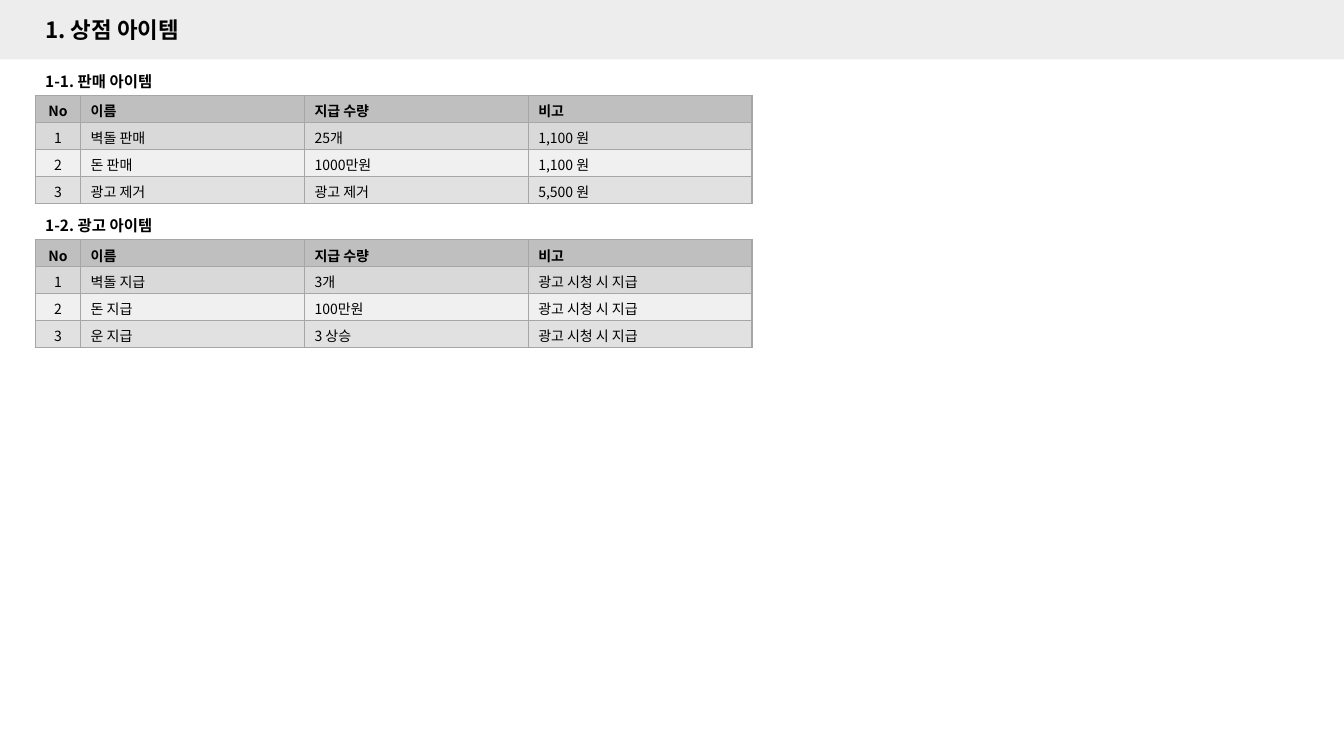
"""Build the shop items slide with its two item tables."""
from dataclasses import dataclass

from lxml.etree import SubElement
from pptx import Presentation
from pptx.dml.color import RGBColor
from pptx.enum.shapes import MSO_SHAPE as Shape
from pptx.enum.text import MSO_ANCHOR as Anchor, MSO_AUTO_SIZE as AutoSize, PP_ALIGN as Align
from pptx.oxml.ns import qn
from pptx.util import Inches, Pt


@dataclass(frozen=True)
class Theme:
    font: str = "Noto Sans CJK KR"
    ink: str = "000000"
    band: str = "EDEDED"
    border: str = "A6A6A6"
    rows: tuple = ("BFBFBF", "D9D9D9", "F0F0F0", "E1E1E1")
    title_size: int = 16
    heading_size: int = 11
    cell_size: int = 10


THEME = Theme()
LEFT = 0.35
ROW_HEIGHT = 1.07 / 4
COLUMN_WIDTHS = (0.45, 2.22, 2.22, 2.22)
HEADER = ("No", "이름", "지급 수량", "비고")
SECTIONS = (
    (0.66, "1-1. 판매 아이템", (
        ("벽돌 판매", "25개", "1,100 원"),
        ("돈 판매", "1000만원", "1,100 원"),
        ("광고 제거", "광고 제거", "5,500 원"),
    )),
    (2.09, "1-2. 광고 아이템", (
        ("벽돌 지급", "3개", "광고 시청 시 지급"),
        ("돈 지급", "100만원", "광고 시청 시 지급"),
        ("운 지급", "3 상승", "광고 시청 시 지급"),
    )),
)


def write_text(frame, text, size, bold, align=Align.LEFT):
    para = frame.paragraphs[0]
    para.alignment = align
    span = para.add_run()
    span.text = text
    formats = {"name": THEME.font, "size": Pt(size), "bold": bold}
    for name, value in formats.items():
        setattr(span.font, name, value)
    span.font.color.rgb = RGBColor.from_string(THEME.ink)
    SubElement(span.font._element, qn("a:ea"), typeface=THEME.font)


def place_heading(box, top, height, text, size):
    bounds = {"left": LEFT, "top": top, "width": 2.11, "height": height}
    for name, value in bounds.items():
        setattr(box, name, Inches(value))
    formats = {"word_wrap": False, "auto_size": AutoSize.NONE, "vertical_anchor": Anchor.MIDDLE}
    for name, value in formats.items():
        setattr(box.text_frame, name, value)
    write_text(box.text_frame, text, size, True)


deck = Presentation()
deck.slide_width, deck.slide_height = Inches(13.33), Inches(7.5)
page = deck.slides.add_slide(deck.slide_layouts[5])

band = page.shapes.add_shape(Shape.RECTANGLE, 0, 0, deck.slide_width, Inches(0.59))
band.shadow.inherit = False
band.fill.solid()
band.fill.fore_color.rgb = RGBColor.from_string(THEME.band)
band.line.fill.background()
page.shapes.title._element.addprevious(band._element)

place_heading(page.shapes.title, 0.11, 0.37, "1. 상점 아이템", THEME.title_size)

for top, heading, items in SECTIONS:
    heading_box = page.shapes.add_textbox(0, 0, 0, 0)
    place_heading(heading_box, top, 0.29, heading, THEME.heading_size)

    records = [HEADER] + [(str(number), *item) for number, item in enumerate(items, 1)]
    table = page.shapes.add_table(
        len(records), len(HEADER), Inches(LEFT), Inches(top + 0.29),
        Inches(sum(COLUMN_WIDTHS)), Inches(ROW_HEIGHT * len(records))).table
    table.horz_banding = False
    for column, width in zip(table.columns, COLUMN_WIDTHS):
        column.width = Inches(width)

    for row_index, record in enumerate(records):
        table.rows[row_index].height = Inches(ROW_HEIGHT)
        for column_index, text in enumerate(record):
            cell = table.cell(row_index, column_index)
            cell.margin_top, cell.margin_bottom = Inches(0.05), 0
            properties = cell._tc.get_or_add_tcPr()
            for side in ("lnL", "lnR", "lnT", "lnB"):
                line = SubElement(properties, qn(f"a:{side}"), w=str(Pt(1)))
                line_fill = SubElement(line, qn("a:solidFill"))
                SubElement(line_fill, qn("a:srgbClr"), val=THEME.border)
            cell.fill.solid()
            cell.fill.fore_color.rgb = RGBColor.from_string(THEME.rows[row_index])
            align = Align.CENTER if column_index == 0 else Align.LEFT
            write_text(cell.text_frame, text, THEME.cell_size, row_index == 0, align)

deck.save("out.pptx")
